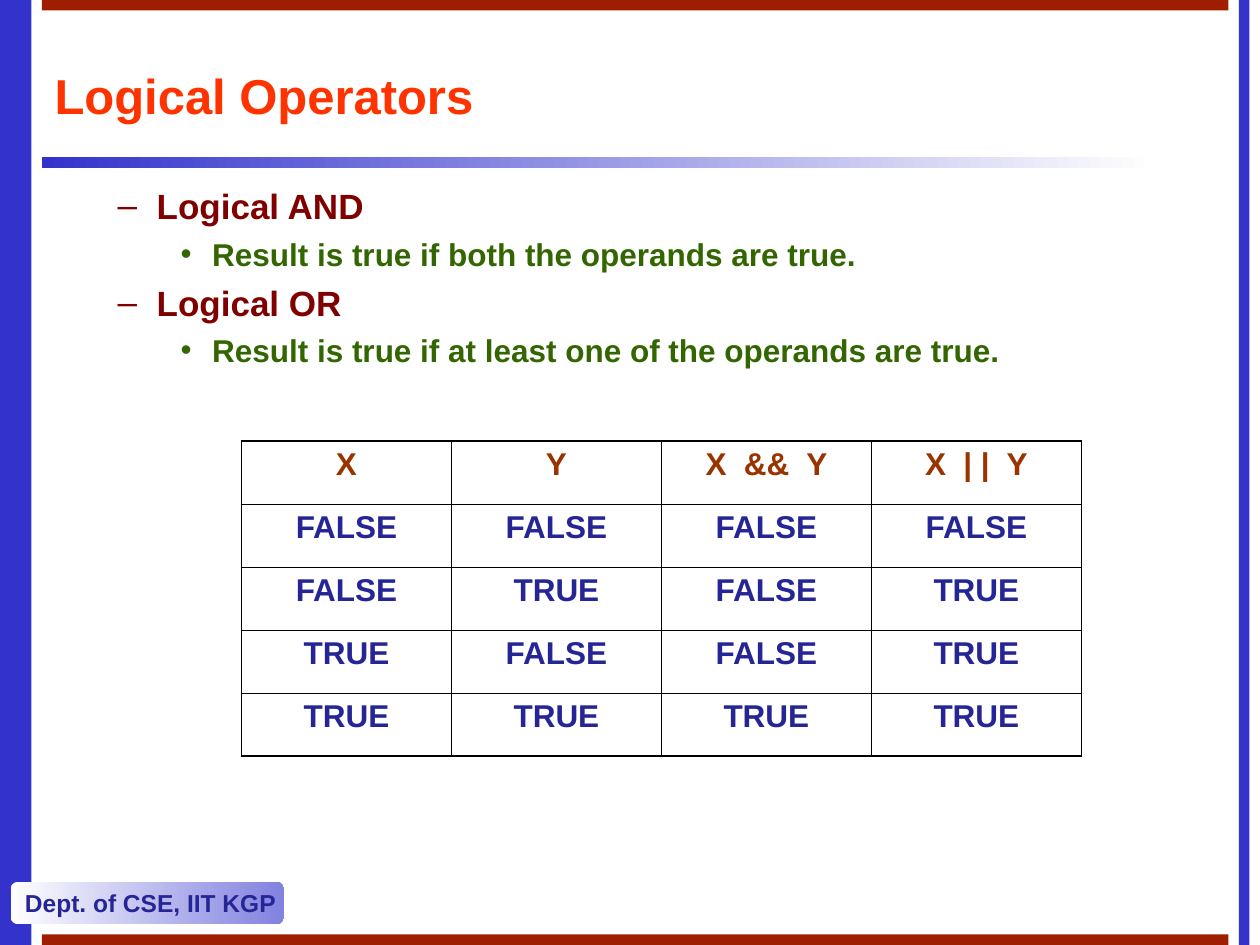
from lxml.etree import SubElement
from pptx import Presentation
from pptx.dml.color import RGBColor
from pptx.enum.shapes import MSO_SHAPE as Shape
from pptx.enum.text import MSO_ANCHOR as Anchor, MSO_AUTO_SIZE as AutoSize, PP_ALIGN as Align
from pptx.oxml import parse_xml
from pptx.oxml.ns import nsdecls, qn
from pptx.util import Inches, Pt

COLUMNS, ROWS = 120, 90  # grid of the whole slide


def color(hex_code):
    return RGBColor.from_string(hex_code)


class Deck:
    font = "Arial"
    blue, red, white, navy = "3333CC", "A01E00", "FFFFFF", "252595"
    # level: (size, colour, bullet, left margin, hanging indent, space before)
    levels = {
        1: (20, "800000", "–", 0.81, 0.31, 5),
        2: (18, "336600", "•", 1.25, 0.25, 4.5),
    }

    def __init__(self):
        self.prs = Presentation()
        self.prs.slide_width, self.prs.slide_height = Inches(10), Inches(7.5)
        self.slide = self.prs.slides.add_slide(self.prs.slide_layouts[1])

    def area(self, column, row, columns, rows):
        unit_x = self.prs.slide_width / COLUMNS
        unit_y = self.prs.slide_height / ROWS
        return [round(n) for n in (column * unit_x, row * unit_y, columns * unit_x, rows * unit_y)]

    def run(self, paragraph, text, size, hex_code):
        run = paragraph.add_run()
        run.text = text
        run.font.name, run.font.size, run.font.bold = self.font, Pt(size), True
        run.font.color.rgb = color(hex_code)

    def block(self, grid_area, fill, kind=Shape.RECTANGLE):
        """A bar without outline; a pair of colours makes a left-to-right gradient."""
        block = self.slide.shapes.add_shape(kind, *self.area(*grid_area))
        block.shadow.inherit = False
        block.line.fill.background()
        if isinstance(fill, str):
            block.fill.solid()
            block.fill.fore_color.rgb = color(fill)
        else:
            block.fill.gradient()
            block.fill.gradient_angle = 0
            for stop, hex_code in zip(block.fill.gradient_stops, fill):
                stop.color.rgb = color(hex_code)
        return block

    def badge(self, grid_area, text, fill):
        badge = self.block(grid_area, fill, Shape.ROUNDED_RECTANGLE)
        frame = badge.text_frame
        frame.word_wrap, frame.vertical_anchor = False, Anchor.MIDDLE
        frame.paragraphs[0].alignment = Align.LEFT
        self.run(frame.paragraphs[0], text, 14, self.navy)

    def placeholder(self, holder, grid_area, anchor):
        holder.left, holder.top, holder.width, holder.height = self.area(*grid_area)
        frame = holder.text_frame
        frame.auto_size, frame.word_wrap, frame.vertical_anchor = AutoSize.NONE, True, anchor
        return frame

    def title(self, grid_area, text):
        frame = self.placeholder(self.slide.shapes.title, grid_area, Anchor.MIDDLE)
        frame.paragraphs[0].alignment = Align.LEFT
        self.run(frame.paragraphs[0], text, 28, "FF3300")

    def bullets(self, grid_area, items):
        frame = self.placeholder(self.slide.placeholders[1], grid_area, Anchor.TOP)
        for index, (level, text) in enumerate(items):
            size, hex_code, mark, margin, hanging, before = self.levels[level]
            paragraph = frame.add_paragraph() if index else frame.paragraphs[0]
            paragraph.level = level
            props = paragraph._p.get_or_add_pPr()
            props.set("marL", str(Inches(margin)))
            props.set("indent", str(-Inches(hanging)))
            SubElement(SubElement(props, qn("a:buClr")), qn("a:srgbClr")).set("val", hex_code)
            SubElement(props, qn("a:buFont")).set("typeface", self.font)
            SubElement(props, qn("a:buChar")).set("char", mark)
            paragraph.space_before = Pt(before if index else 0)
            self.run(paragraph, text, size, hex_code)

    def border(self, cell, side, width):
        cell._tc.get_or_add_tcPr().append(parse_xml(
            f'<a:ln{side} {nsdecls("a")} w="{Pt(width)}"><a:solidFill>'
            f'<a:srgbClr val="000000"/></a:solidFill></a:ln{side}>'))

    def table(self, grid_area, rows):
        last_row, last_column = len(rows) - 1, len(rows[0]) - 1
        table = self.slide.shapes.add_table(len(rows), len(rows[0]), *self.area(*grid_area)).table
        table.first_row = table.horz_banding = False
        for r, values in enumerate(rows):
            for c, value in enumerate(values):
                cell = table.cell(r, c)
                outer = {"L": c == 0, "R": c == last_column, "T": r == 0, "B": r == last_row}
                for side, is_outer in outer.items():
                    self.border(cell, side, 1.08 if is_outer else 0.45)
                cell.fill.background()
                paragraph = cell.text_frame.paragraphs[0]
                paragraph.alignment = Align.CENTER
                self.run(paragraph, value, 18, self.navy if r else "993300")


def main():
    deck = Deck()

    # Frame of the slide
    deck.block((0, 0, 3, ROWS), deck.blue)
    deck.block((118, 0, 1, ROWS), deck.blue)
    for edge_row in (0, ROWS - 1):
        deck.block((4, edge_row, 113, 1), deck.red)
    deck.block((4, 15, 106, 1), (deck.blue, deck.white))
    deck.badge((1, 84, 26, 4), "Dept. of CSE, IIT KGP", (deck.white, "8282E0"))

    # Title and definitions
    deck.title((4, 4, 113, 10), "Logical Operators")
    deck.bullets((4, 17, 113, 66), [
        (1, "Logical AND"),
        (2, "Result is true if both the operands are true."),
        (1, "Logical OR"),
        (2, "Result is true if at least one of the operands are true."),
    ])

    # Truth table, worked out from the operators
    truth_rows = [(x, y, x and y, x or y) for x in (False, True) for y in (False, True)]
    deck.table((23, 42, 80, 30), [
        ("X", "Y", "X  &&  Y", "X  | |  Y"),
        *[[str(value).upper() for value in row] for row in truth_rows],
    ])

    deck.prs.save("out.pptx")


if __name__ == "__main__":
    main()
